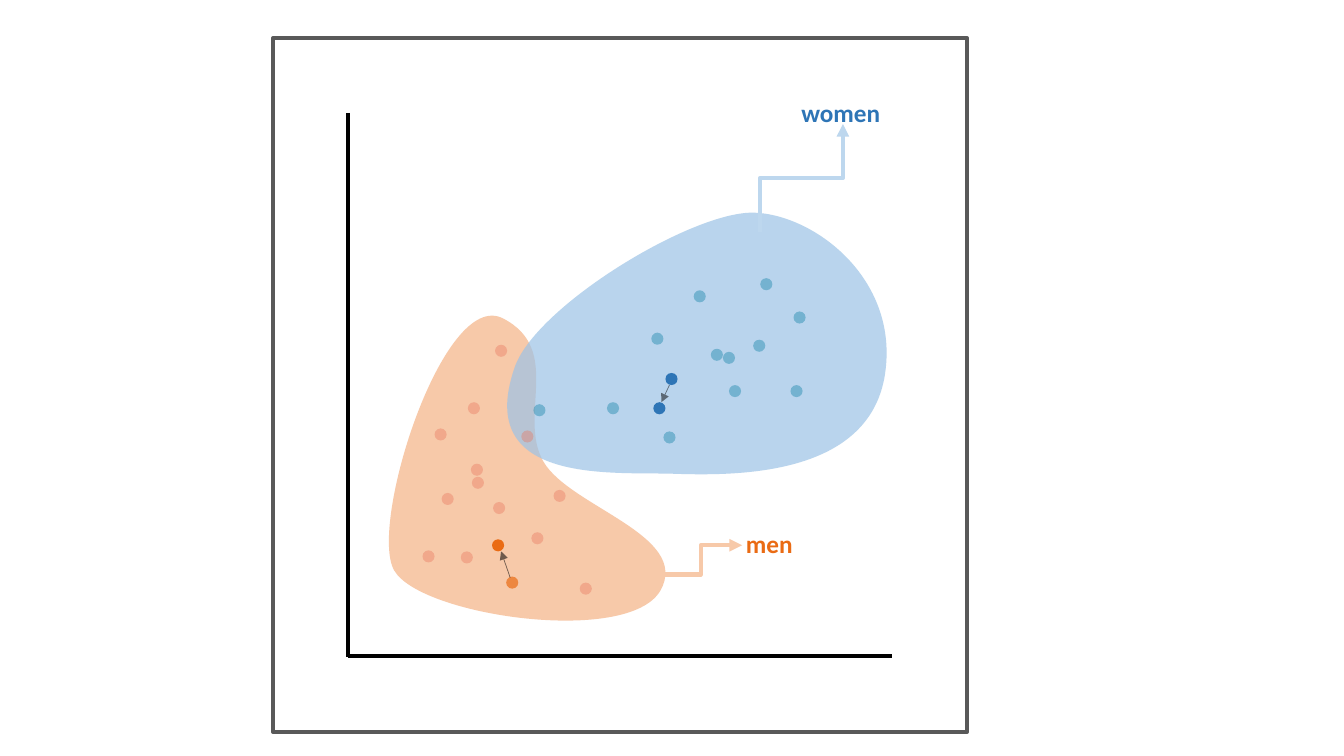
import dataclasses

import lxml.etree
import pptx
import pptx.dml.color
import pptx.enum.shapes
import pptx.enum.text
import pptx.oxml.ns
import pptx.util

Inches = pptx.util.Inches
qn = pptx.oxml.ns.qn
CONNECTOR = pptx.enum.shapes.MSO_CONNECTOR
SHAPE = pptx.enum.shapes.MSO_SHAPE
DOT_SIZE = 0.12


@dataclasses.dataclass
class Cluster:
    name: str
    color: str
    area_color: str
    area_opacity: int
    outline: list
    dot_color: str
    dot_opacity: int
    dots: list
    shift_dots: list
    shift_arrow: list
    start_opacity: int
    arrow_opacity: int
    callout_color: str
    callout: list
    callout_vertical: bool
    label_box: tuple


WOMEN = Cluster(
    name="women", color="2E75B6",
    area_color="9DC3E6", area_opacity=71,
    outline=[(3.77, 3.26), (3.58, 4.23), (2.29, 4.22), (1.68, 4.2),
             (1.07, 4.18), (-0.29, 4.31), (0.1, 3.16),
             (0.29, 2.55), (1.87, 1.59), (2.48, 1.61),
             (3.09, 1.63), (3.95, 2.29), (3.77, 3.26)],
    dot_color="3091B4", dot_opacity=50,
    dots=[(2.54, 2.26), (1.02, 3.49), (2.87, 2.59), (1.46, 2.8),
          (2.84, 3.32), (2.17, 2.99), (2.23, 3.32), (2.47, 2.87),
          (2.05, 2.96), (1.88, 2.38), (1.58, 3.78), (0.29, 3.51)],
    shift_dots=[(1.6, 3.2), (1.48, 3.49)],
    shift_arrow=[(1.64, 3.32), (1.56, 3.49)],
    start_opacity=100, arrow_opacity=50,
    callout_color="BDD7EE", callout=[(2.54, 1.8), (3.36, 0.73)],
    callout_vertical=True, label_box=(2.85, 0.42, 0.99, 0.4),
)

MEN = Cluster(
    name="men", color="EA6B14",
    area_color="F4B183", area_opacity=69,
    outline=[(1.49, 0.16), (2.09, 0.47), (1.63, 1.13), (1.89, 1.58),
             (2.15, 2.03), (3.36, 2.31), (3.05, 2.86),
             (2.73, 3.41), (0.67, 3.11), (0.41, 2.66),
             (0.15, 2.21), (0.9, -0.15), (1.49, 0.16)],
    dot_color="E8755E", dot_opacity=39,
    dots=[(1.99, 1.86), (1.41, 0.42), (1.77, 2.28), (1.14, 0.99),
          (1.07, 2.47), (1.18, 1.73), (0.88, 1.89), (1.39, 1.98),
          (1.17, 1.6), (1.67, 1.27), (2.25, 2.78), (0.69, 2.46),
          (0.81, 1.25)],
    shift_dots=[(1.52, 2.72), (1.38, 2.35)],
    shift_arrow=[(1.56, 2.73), (1.47, 2.47)],
    start_opacity=70, arrow_opacity=54,
    callout_color="F7C9A9", callout=[(3.04, 2.7), (3.86, 2.41)],
    callout_vertical=False, label_box=(3.8, 2.19, 0.67, 0.4),
)


def rgb(value):
    return pptx.dml.color.RGBColor.from_string(value)


def place(box, points):
    return [(box[0] + x, box[1] + y) for x, y in points]


def set_opacity(shape, percent):
    if percent < 100:
        for color in shape._element.spPr.iter(qn("a:srgbClr")):
            lxml.etree.SubElement(color, qn("a:alpha")).set("val", str(percent * 1000))


def paint(shape, color, opacity=100):
    shape.shadow.inherit = False
    shape.fill.solid()
    shape.fill.fore_color.rgb = rgb(color)
    shape.line.fill.background()
    set_opacity(shape, opacity)


def add_line(slide, start, end, color, width, kind=CONNECTOR.STRAIGHT,
             arrow=False, opacity=100):
    line = slide.shapes.add_connector(kind, *map(Inches, (*start, *end)))
    line.line.color.rgb = rgb(color)
    line.line.width = pptx.util.Pt(width)
    set_opacity(line, opacity)
    properties = line._element.spPr
    if arrow:
        outline = properties.find(qn("a:ln"))
        lxml.etree.SubElement(outline, qn("a:tailEnd")).set("type", "triangle")
    lxml.etree.SubElement(properties, qn("a:effectLst"))
    return line


def add_callout(slide, start, end, color, vertical):
    if vertical:
        center_x, center_y = (start[0] + end[0]) / 2, (start[1] + end[1]) / 2
        start, end = [(center_x + y - center_y, center_y - x + center_x)
                      for x, y in (start, end)]
    callout = add_line(slide, start, end, color, 3, CONNECTOR.ELBOW, arrow=True)
    if vertical:
        callout._element.spPr.find(qn("a:xfrm")).set("rot", str(90 * 60000))


def add_dot(shapes, position, color, opacity=100):
    dot = shapes.add_shape(SHAPE.OVAL, *map(Inches, (*position, DOT_SIZE, DOT_SIZE)))
    paint(dot, color, opacity)


def add_label(slide, box, text, *, size, color, bold):
    label = slide.shapes.add_textbox(*map(Inches, box))
    frame = label.text_frame
    frame.word_wrap = False
    frame.auto_size = pptx.enum.text.MSO_AUTO_SIZE.SHAPE_TO_FIT_TEXT
    paragraph = frame.paragraphs[0]
    paragraph.text = text
    paragraph.font.name = "Calibri"
    paragraph.font.size = pptx.util.Pt(size)
    paragraph.font.bold = bold
    paragraph.font.color.rgb = rgb(color)


def draw_axes(slide, box):
    left, top, width, height = box
    bottom = top + height
    add_line(slide, (left, top), (left, bottom + 0.01), "000000", 3)
    add_line(slide, (left, bottom), (left + width, bottom), "000000", 3)


def draw_frame(slide, box):
    frame = slide.shapes.add_shape(SHAPE.RECTANGLE, *map(Inches, box))
    frame.shadow.inherit = False
    frame.fill.background()
    frame.line.color.rgb = rgb("595959")
    frame.line.width = pptx.util.Pt(3)


def draw_area(slide, box, cluster):
    points = [(Inches(x), Inches(y)) for x, y in place(box, cluster.outline)]
    builder = slide.shapes.build_freeform(*points[0])
    builder.add_line_segments(points[1:], close=True)
    area = builder.convert_to_shape()
    outline = next(area._element.iter(qn("a:path")))
    segments = outline.findall(qn("a:lnTo"))
    for index in range(0, len(segments), 3):
        curve = lxml.etree.Element(qn("a:cubicBezTo"))
        segments[index].addprevious(curve)
        for segment in segments[index:index + 3]:
            curve.append(segment[0])
            outline.remove(segment)
    paint(area, cluster.area_color, cluster.area_opacity)


def draw_dots(slide, box, cluster):
    group = slide.shapes.add_group_shape()
    for position in place(box, cluster.dots):
        add_dot(group.shapes, position, cluster.dot_color, cluster.dot_opacity)


def draw_shift(slide, box, cluster):
    before, after = place(box, cluster.shift_dots)
    add_dot(slide.shapes, before, cluster.color, cluster.start_opacity)
    add_line(slide, *place(box, cluster.shift_arrow), "000000", 0.5,
             arrow=True, opacity=cluster.arrow_opacity)
    add_dot(slide.shapes, after, cluster.color)


def draw_callout(slide, box, cluster):
    add_callout(slide, *place(box, cluster.callout), cluster.callout_color,
                cluster.callout_vertical)
    left, top, width, height = cluster.label_box
    add_label(slide, (box[0] + left, box[1] + top, width, height), cluster.name,
              size=18, color=cluster.color, bold=True)


def main():
    presentation = pptx.Presentation()
    presentation.slide_width = Inches(13.33)
    presentation.slide_height = Inches(7.5)
    slide = presentation.slides.add_slide(presentation.slide_layouts[6])
    draw_axes(slide, (3.45, 1.12, 5.4, 5.39))
    draw_frame(slide, (2.71, 0.38, 6.88, 6.88))
    regions = [((3.5, 3, 4.5, 3.5), MEN), ((5, 0.5, 4, 4.5), WOMEN)]
    for draw in (draw_area, draw_dots, draw_shift, draw_callout):
        for box, cluster in regions:
            draw(slide, box, cluster)
    presentation.save("out.pptx")


if __name__ == "__main__":
    main()
